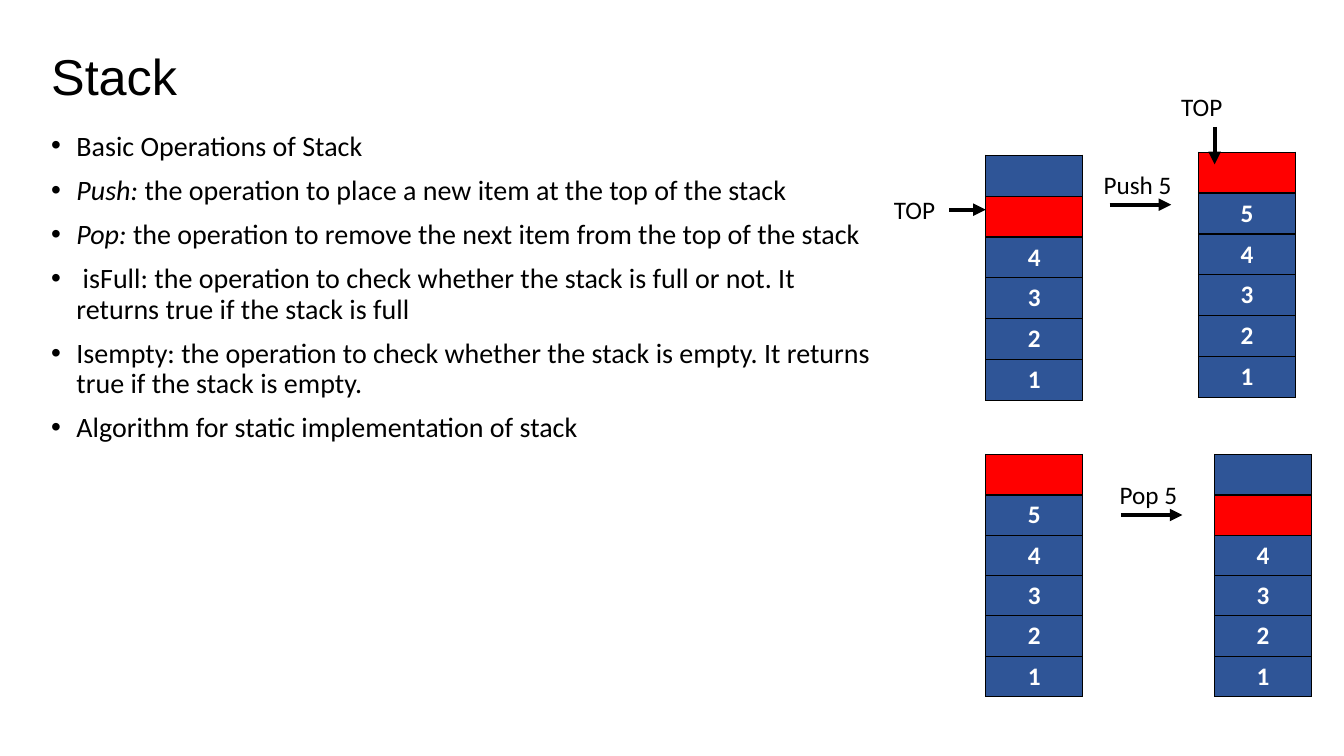
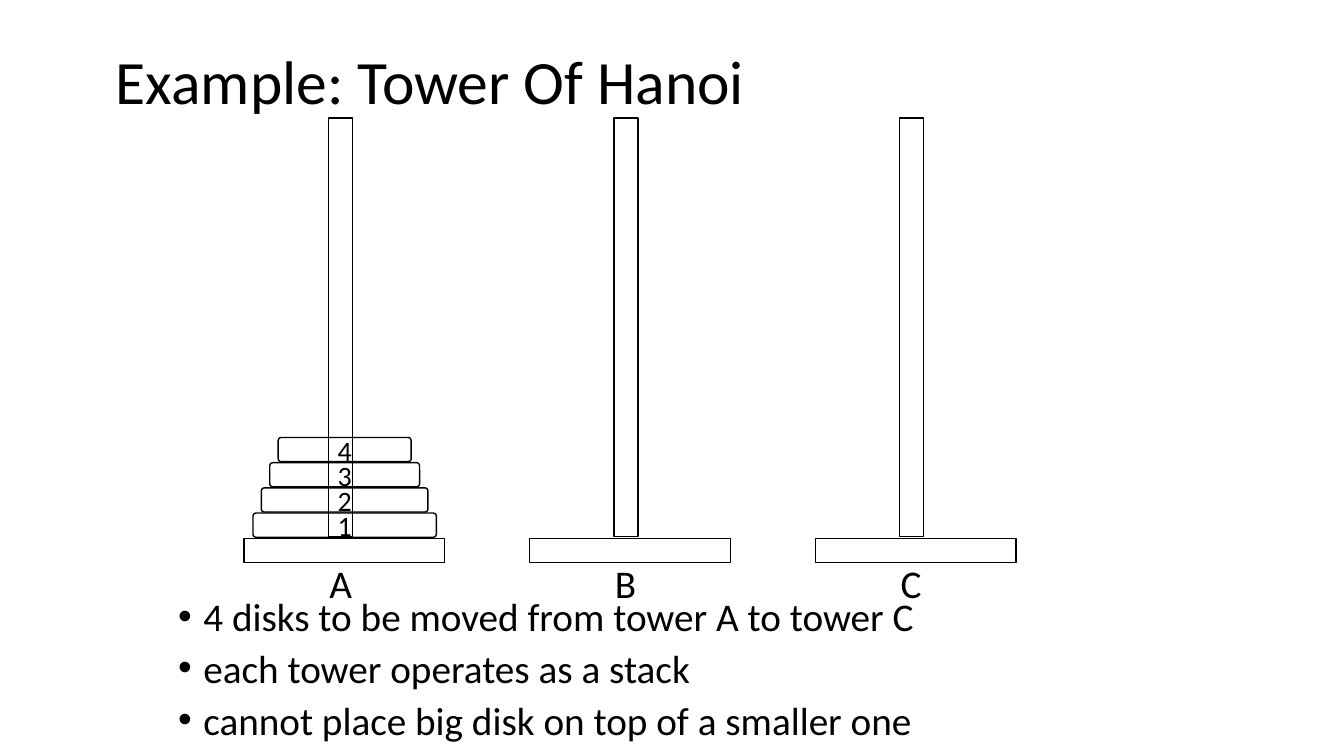
import pptx
import pptx.util
import pptx.dml.color
import pptx.enum.shapes
import pptx.enum.text
import pptx.oxml.ns
from lxml import etree
from dataclasses import dataclass

Pt = pptx.util.Pt
RGB = pptx.dml.color.RGBColor
Kind = pptx.enum.shapes.MSO_SHAPE
Align = pptx.enum.text.PP_ALIGN
Anchor = pptx.enum.text.MSO_ANCHOR
qn = pptx.oxml.ns.qn


@dataclass
class Theme:
    ink: RGB = RGB(0, 0, 0)
    blue: RGB = RGB(0x2F, 0x55, 0x97)
    red: RGB = RGB(0xFF, 0, 0)
    white: RGB = RGB(0xFF, 0xFF, 0xFF)
    font: str = "Calibri"
    head: str = "Arial"
    title: int = 44
    small: int = 36
    large: int = 28
    body: int = 20
    label: int = 18


theme = Theme()


def style(run, size, font=theme.font, color=theme.ink):
    run.font.size = Pt(size)
    run.font.name = font
    run.font.color.rgb = color


def write(shapes, area, lines, size, font=theme.font, lead=None,
          bullet=False, wrap=True, anchor=Anchor.TOP):
    """Add a text box; a line may be a pair of italic lead and plain rest."""
    box = shapes.add_textbox(*[Pt(v) for v in area])
    frame = box.text_frame
    frame.word_wrap = wrap
    frame.vertical_anchor = anchor
    for i, line in enumerate(lines):
        para = frame.add_paragraph() if i else frame.paragraphs[0]
        if lead:
            para.line_spacing = lead
        if i:
            para.space_before = Pt(10)
        if bullet:
            props = para._p.get_or_add_pPr()
            props.set("marL", str(Pt(18)))
            props.set("indent", str(Pt(-18)))
            etree.SubElement(props, qn("a:buFont")).set("typeface", "Arial")
            etree.SubElement(props, qn("a:buChar")).set("char", "•")
        if isinstance(line, tuple):
            for part in line:
                para.add_run().text = part
            para.runs[0].font.italic = True
        else:
            para.text = line
        for run in para.runs:
            style(run, size, font)


deck = pptx.Presentation()
deck.slide_width, deck.slide_height = Pt(960), Pt(540)
blank = deck.slide_layouts[6]

# Stack slide: title and operations
shapes = deck.slides.add_slide(blank).shapes
write(shapes, (29.5, 16.5, 861, 80), ["Stack"], theme.small, theme.head,
      lead=0.9, anchor=Anchor.MIDDLE)
write(shapes, (29.5, 90.7, 600, 449), [
    "Basic Operations of Stack",
    ("Push: ", "the operation to place a new item at the top of the stack"),
    ("Pop: ", "the operation to remove the next item from the top of the stack"),
    " isFull: the operation to check whether the stack is full or not. "
    "It returns true if the stack is full",
    "Isempty: the operation to check whether the stack is empty. "
    "It returns true if the stack is empty.",
    "Algorithm for static implementation of stack",
], theme.body, lead=0.9, bullet=True)

# Stacks of six cells: the red one sits above the highest item
for left, top, row, count in [(704.2, 110.9, 29.2, 4), (856, 108.7, 29.2, 5),
                              (704.2, 324.7, 28.8, 5), (867.6, 324.7, 28.8, 4)]:
    table = shapes.add_table(6, 1, Pt(left), Pt(top), Pt(69.3), Pt(row * 6)).table
    table.first_row = table.horz_banding = False
    for i in range(6):
        table.rows[i].height = Pt(row)
        cell = table.cell(i, 0)
        cell.margin_top = cell.margin_bottom = 0
        cell.vertical_anchor = Anchor.MIDDLE
        item = 6 - i
        cell.fill.solid()
        cell.fill.fore_color.rgb = theme.red if item == count + 1 else theme.blue
        para = cell.text_frame.paragraphs[0]
        para.alignment = Align.CENTER
        if item <= count:
            para.text = str(item)
            style(para.runs[0], theme.label, color=theme.white)
            para.runs[0].font.bold = True
        props = cell._tc.get_or_add_tcPr()
        for n, side in enumerate(("lnL", "lnR", "lnT", "lnB")):
            edge = etree.Element(qn("a:" + side), w=str(Pt(1)))
            fill = etree.SubElement(edge, qn("a:solidFill"))
            etree.SubElement(fill, qn("a:srgbClr")).set("val", str(theme.ink))
            props.insert(n, edge)

# Labels and arrows
for text, left, top, width in [("TOP", 631.4, 135.4, 44), ("TOP", 836.6, 61.9, 44),
                               ("Push 5", 781.2, 117.4, 63.4),
                               ("Pop 5", 792.7, 339.1, 56.2)]:
    write(shapes, (left, top, width, 29), [text], theme.label, wrap=False)

for ends in [(678.2, 149.8, 704.2, 149.8), (867.6, 90.7, 867.6, 117.4),
             (792.7, 146.2, 836.6, 146.2), (800.6, 367.9, 844.6, 367.9)]:
    arrow = shapes.add_connector(pptx.enum.shapes.MSO_CONNECTOR.STRAIGHT,
                                 *[Pt(v) for v in ends])
    arrow.line.color.rgb = theme.ink
    arrow.line.width = Pt(3)
    etree.SubElement(arrow.line._get_or_add_ln(), qn("a:tailEnd")).set("type", "triangle")
    etree.SubElement(arrow._element.spPr, qn("a:effectLst"))

# Hanoi slide: title
shapes = deck.slides.add_slide(blank).shapes
write(shapes, (75.6, 7.9, 828, 104.4), ["Example: Tower Of Hanoi"], theme.title,
      lead=0.9, anchor=Anchor.MIDDLE)

# Each part: its outlines, then its label with place and size
parts = []
for i, name in enumerate("ABC"):
    left = 174.4 + 204 * i
    parts.append(([(Kind.RECTANGLE, (left, 384.5, 143.3, 17.3)),
                   (Kind.RECTANGLE, (left + 60.2, 84.2, 17.3, 299))],
                  name, (left + 53.8, 396, 72, 41), theme.large))
for i in range(4):
    width = 131 - 12 * i
    disk = (246.2 - width / 2, 366.5 - 18 * i, width, 17.3)
    parts.append(([(Kind.ROUNDED_RECTANGLE, disk)],
                  str(i + 1), (234, 360 - 18 * i, 54, 31.7), theme.body))

# Towers and disks
for outlines, name, area, size in parts:
    group = shapes.add_group_shape().shapes
    for kind, place in outlines:
        shape = group.add_shape(kind, *[Pt(v) for v in place])
        shape.shadow.inherit = False
        shape.fill.background()
        shape.line.color.rgb = theme.ink
        shape.line.width = Pt(1)
        if kind == Kind.ROUNDED_RECTANGLE:
            shape.adjustments[0] = 0.125
    write(group, area, [name], size)

# Rules of the puzzle
write(shapes, (120.2, 426.2, 714, 113.8), [
    "4 disks to be moved from tower A to tower C",
    "each tower operates as a stack",
    "cannot place big disk on top of a smaller one",
], theme.large, lead=0.8, bullet=True)

deck.save("out.pptx")
